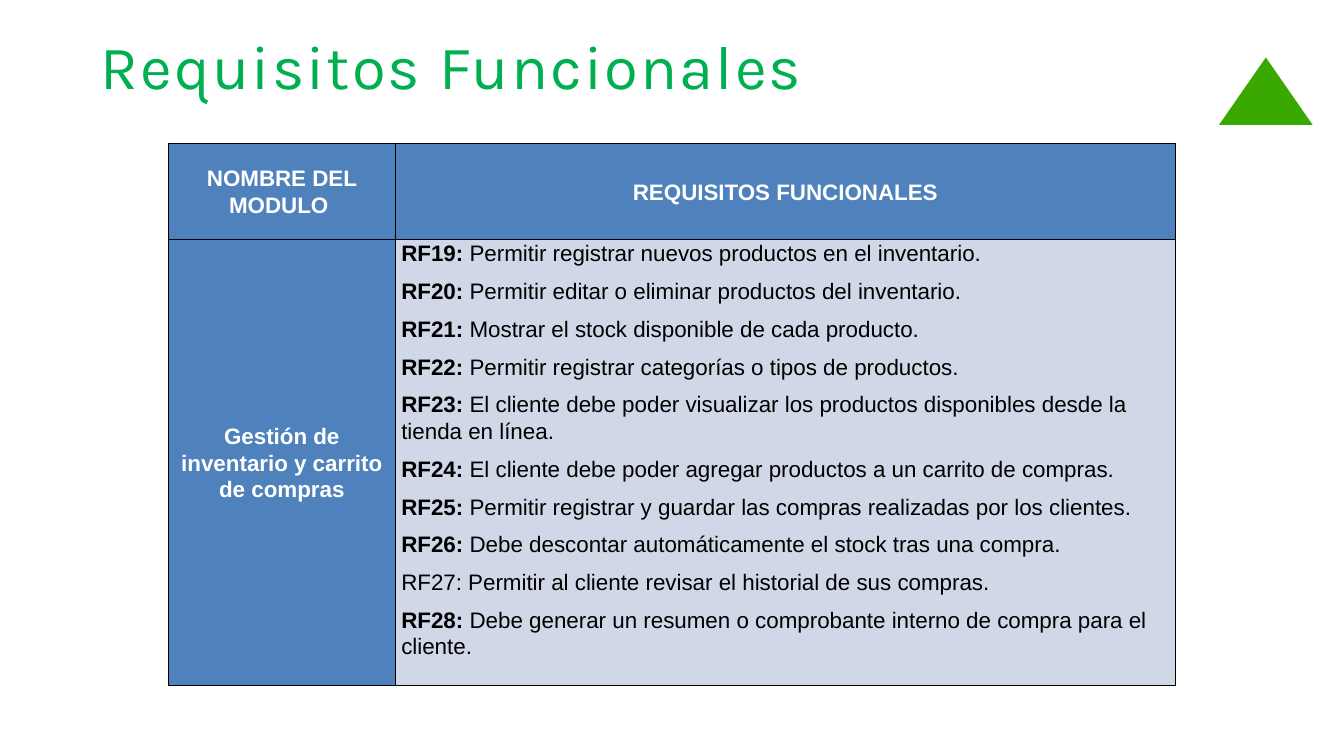
from dataclasses import dataclass

from lxml.etree import SubElement
from pptx import Presentation
from pptx.dml.color import RGBColor
from pptx.enum.shapes import MSO_SHAPE
from pptx.enum.text import MSO_ANCHOR as Anchor, MSO_AUTO_SIZE as AutoSize, PP_ALIGN as Align
from pptx.oxml.ns import qn
from pptx.util import Inches, Pt


@dataclass(frozen=True)
class Theme:
    title_color: RGBColor = RGBColor(0x00, 0xB0, 0x50)
    emblem: RGBColor = RGBColor(0x39, 0xA9, 0x00)
    header: RGBColor = RGBColor(0x4F, 0x81, 0xBD)
    body: RGBColor = RGBColor(0xD0, 0xD8, 0xE8)
    white: RGBColor = RGBColor(0xFF, 0xFF, 0xFF)
    black: RGBColor = RGBColor(0x00, 0x00, 0x00)
    title_font: str = "Karla"
    table_font: str = "Arial"
    title_size: Pt = Pt(44)
    table_size: Pt = Pt(16)


theme = Theme()

HEADINGS = ["NOMBRE DEL MODULO ", "REQUISITOS FUNCIONALES"]
MODULE = "Gestión de inventario y carrito de compras"
FIRST_NUMBER = 19
PLAIN_LABELS = {"RF27: "}
REQUIREMENTS = [
    "Permitir registrar nuevos productos en el inventario.",
    "Permitir editar o eliminar productos del inventario.",
    "Mostrar el stock disponible de cada producto.",
    "Permitir registrar categorías o tipos de productos.",
    "El cliente debe poder visualizar los productos disponibles desde la tienda en línea.",
    "El cliente debe poder agregar productos a un carrito de compras.",
    "Permitir registrar y guardar las compras realizadas por los clientes.",
    "Debe descontar automáticamente el stock tras una compra.",
    "Permitir al cliente revisar el historial de sus compras.",
    "Debe generar un resumen o comprobante interno de compra para el cliente.",
]


def style_cell(cell, fill, anchor):
    """Set the margins, black borders and fill of a table cell."""
    cell.margin_left = cell.margin_right = Inches(0.06)
    cell.margin_top = cell.margin_bottom = 0
    cell.vertical_anchor = anchor
    properties = cell._tc.get_or_add_tcPr()
    for side in ("a:lnL", "a:lnR", "a:lnT", "a:lnB"):
        border = SubElement(properties, qn(side), w=str(Pt(1)))
        border_fill = SubElement(border, qn("a:solidFill"))
        SubElement(border_fill, qn("a:srgbClr"), val=str(theme.black))
    cell.fill.solid()
    cell.fill.fore_color.rgb = fill


def add_run(paragraph, text, color, bold):
    paragraph.line_spacing = 1.07
    paragraph.space_after = Pt(8)
    run = paragraph.add_run()
    run.text = text
    run.font.name = theme.table_font
    run.font.size = theme.table_size
    run.font.bold = bold
    run.font.color.rgb = color


presentation = Presentation()
presentation.slide_width = Inches(13.33)
presentation.slide_height = Inches(7.5)
slide = presentation.slides.add_slide(presentation.slide_layouts[5])

# Title
title = slide.shapes.title
title.left, title.top = Inches(1), Inches(0.28)
title.width, title.height = Inches(10.96), Inches(0.74)
title_frame = title.text_frame
title_frame.text = "Requisitos Funcionales"
title_frame.margin_left = title_frame.margin_right = 0
title_frame.margin_top = title_frame.margin_bottom = 0
title_frame.vertical_anchor = Anchor.TOP
title_frame.auto_size = AutoSize.SHAPE_TO_FIT_TEXT
title_frame.paragraphs[0].alignment = Align.LEFT
title_run = title_frame.paragraphs[0].runs[0]
title_run.font.name = theme.title_font
title_run.font.size = theme.title_size
title_run.font.color.rgb = theme.title_color
title_run.font._element.set("spc", "150")

# Emblem
emblem = slide.shapes.add_shape(
    MSO_SHAPE.ISOSCELES_TRIANGLE, Inches(12.09), Inches(0.57), Inches(0.93), Inches(0.67))
emblem.shadow.inherit = False
emblem.fill.solid()
emblem.fill.fore_color.rgb = theme.emblem
emblem.line.fill.background()

# Requirements table
table = slide.shapes.add_table(
    2, 2, Inches(1.67), Inches(1.42), Inches(9.99), Inches(5.11)).table
for column, width in zip(table.columns, (2.25, 7.74)):
    column.width = Inches(width)
for row, height in zip(table.rows, (0.96, 4.15)):
    row.height = Inches(height)

header_cells = [table.cell(0, 0), table.cell(0, 1), table.cell(1, 0)]
for cell, text in zip(header_cells, HEADINGS + [MODULE]):
    style_cell(cell, theme.header, Anchor.MIDDLE)
    paragraph = cell.text_frame.paragraphs[0]
    paragraph.alignment = Align.CENTER
    add_run(paragraph, text, theme.white, True)

requirements_cell = table.cell(1, 1)
style_cell(requirements_cell, theme.body, Anchor.TOP)
requirements_frame = requirements_cell.text_frame
for number, requirement in enumerate(REQUIREMENTS, FIRST_NUMBER):
    is_first = number == FIRST_NUMBER
    paragraph = requirements_frame.paragraphs[0] if is_first else requirements_frame.add_paragraph()
    label = f"RF{number}: "
    add_run(paragraph, label, theme.black, label not in PLAIN_LABELS)
    add_run(paragraph, requirement, theme.black, False)

presentation.save("out.pptx")
